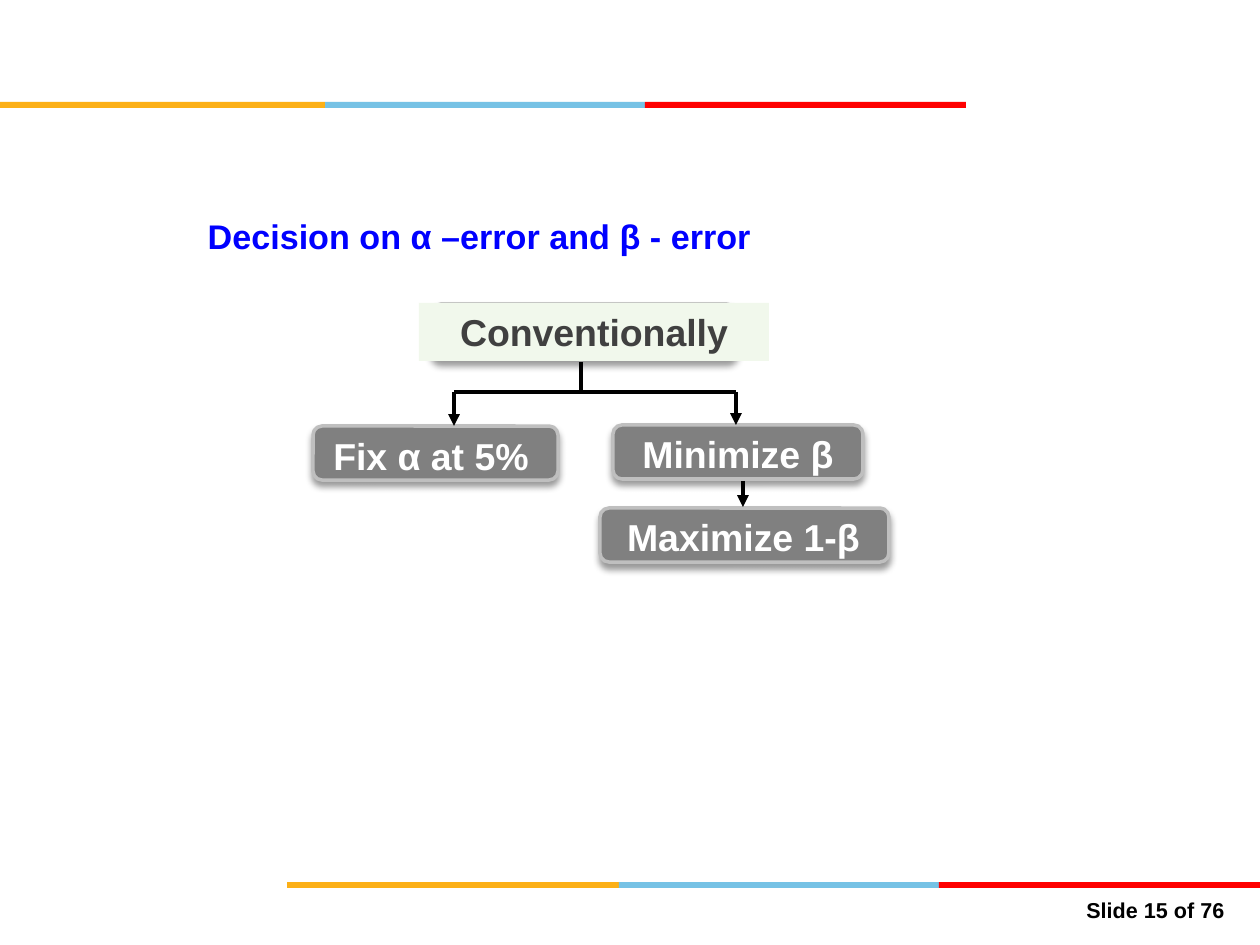
import pptx
import pptx.util
import pptx.dml.color
import pptx.enum.shapes
import pptx.enum.text
import pptx.oxml
import pptx.oxml.ns

COLORS = {
    "amber": "FCB017",
    "sky": "76C2E5",
    "red": "FF0000",
    "blue": "0000FF",
    "mint": "F1F8EC",
    "gray": "808080",
    "silver": "BFBFBF",
    "charcoal": "404040",
    "white": "FFFFFF",
    "black": "000000",
}
SHAPE = pptx.enum.shapes.MSO_SHAPE
ALIGN = pptx.enum.text.PP_ALIGN
ANCHOR = pptx.enum.text.MSO_ANCHOR
NS = pptx.oxml.ns.nsdecls("a")
SHADOW = (
    f'<a:effectLst {NS}><a:outerShdw blurRad="50800" dist="38100" dir="5400000" '
    f'algn="t" rotWithShape="0"><a:srgbClr val="{COLORS["black"]}">'
    '<a:alpha val="40000"/></a:srgbClr></a:outerShdw></a:effectLst>'
)


class SlideBuilder:
    font = "Arial"
    scale = 914400 / 126
    label_size = 21.4

    def __init__(self, slide):
        self.slide = slide

    def emu(self, *lengths):
        return [round(length * self.scale) for length in lengths]

    def color(self, name):
        return pptx.dml.color.RGBColor.from_string(COLORS[name])

    def set_text(self, frame, text, size, color, align):
        frame.text = text
        paragraph = frame.paragraphs[0]
        paragraph.alignment = align
        font = paragraph.runs[0].font
        font.name = self.font
        font.size = pptx.util.Pt(size)
        font.bold = True
        font.color.rgb = self.color(color)

    def title(self, text, *box):
        heading = self.slide.shapes.title
        heading.left, heading.top, heading.width, heading.height = self.emu(*box)
        heading.text_frame.vertical_anchor = ANCHOR.MIDDLE
        self.set_text(heading.text_frame, text, 19.5, "blue", ALIGN.LEFT)

    def bar(self, fill, *box):
        band = self.slide.shapes.add_shape(SHAPE.RECTANGLE, *self.emu(*box))
        band.shadow.inherit = False
        band.fill.solid()
        band.fill.fore_color.rgb = self.color(fill)
        band.line.fill.background()

    def stripe(self, top, edges):
        for fill, left, right in zip(("amber", "sky", "red"), edges, edges[1:]):
            self.bar(fill, left, top, right - left, 6)

    def panel(self, fill, *box):
        card = self.slide.shapes.add_shape(SHAPE.ROUNDED_RECTANGLE, *self.emu(*box))
        card.fill.solid()
        card.fill.fore_color.rgb = self.color(fill)
        card.line.color.rgb = self.color("silver")
        card.line.width = pptx.util.Pt(2)
        card._element.spPr.append(pptx.oxml.parse_xml(SHADOW))

    def label(self, text, box, color="white", size=label_size, align=ALIGN.CENTER, fill=None):
        caption = self.slide.shapes.add_textbox(*self.emu(*box))
        caption.text_frame.word_wrap = True
        if fill:
            caption.fill.solid()
            caption.fill.fore_color.rgb = self.color(fill)
        self.set_text(caption.text_frame, text, size, color, align)

    def line(self, *ends, arrow=False):
        link = self.slide.shapes.add_connector(
            pptx.enum.shapes.MSO_CONNECTOR.STRAIGHT, *self.emu(*ends))
        link.line.color.rgb = self.color("black")
        link.line.width = pptx.util.Pt(2.25)
        if arrow:
            link.line._get_or_add_ln().append(
                pptx.oxml.parse_xml(f'<a:tailEnd {NS} type="triangle"/>'))
        link._element.spPr.append(pptx.oxml.parse_xml(f"<a:effectLst {NS}/>"))


def main():
    deck = pptx.Presentation()
    deck.slide_width = pptx.util.Inches(10)
    deck.slide_height = pptx.util.Inches(7.5)
    page = SlideBuilder(deck.slides.add_slide(deck.slide_layouts[5]))

    page.stripe(102, (0, 325, 645, 966))
    page.stripe(882, (287, 619, 939, 1260))
    page.label("Slide 15 of 76", (1053, 891, 184, 43), "black", 12.3, ALIGN.RIGHT)
    page.title("Decision on α –error and β - error", 195, 212, 850, 47)

    page.panel("mint", 432, 304, 304, 55)
    page.label("Conventionally", (419, 303, 350, 58), "charcoal", fill="mint")

    choices = (
        ("Fix α at 5%", (313, 426, 245, 54), (304, 427, 254, 58)),
        ("Minimize β", (613, 425, 250, 54), (613, 425, 250, 58)),
        ("Maximize 1-β", (600, 508, 289, 54), (591, 508, 305, 58)),
    )
    for text, card, caption in choices:
        page.panel("gray", *card)
        page.label(text, caption)

    page.line(581, 362, 581, 392)
    page.line(454, 392, 736, 392)
    for x, start, end in ((454, 392, 426), (736, 392, 425), (743, 481, 507)):
        page.line(x, start, x, end, arrow=True)

    deck.save("out.pptx")


if __name__ == "__main__":
    main()
